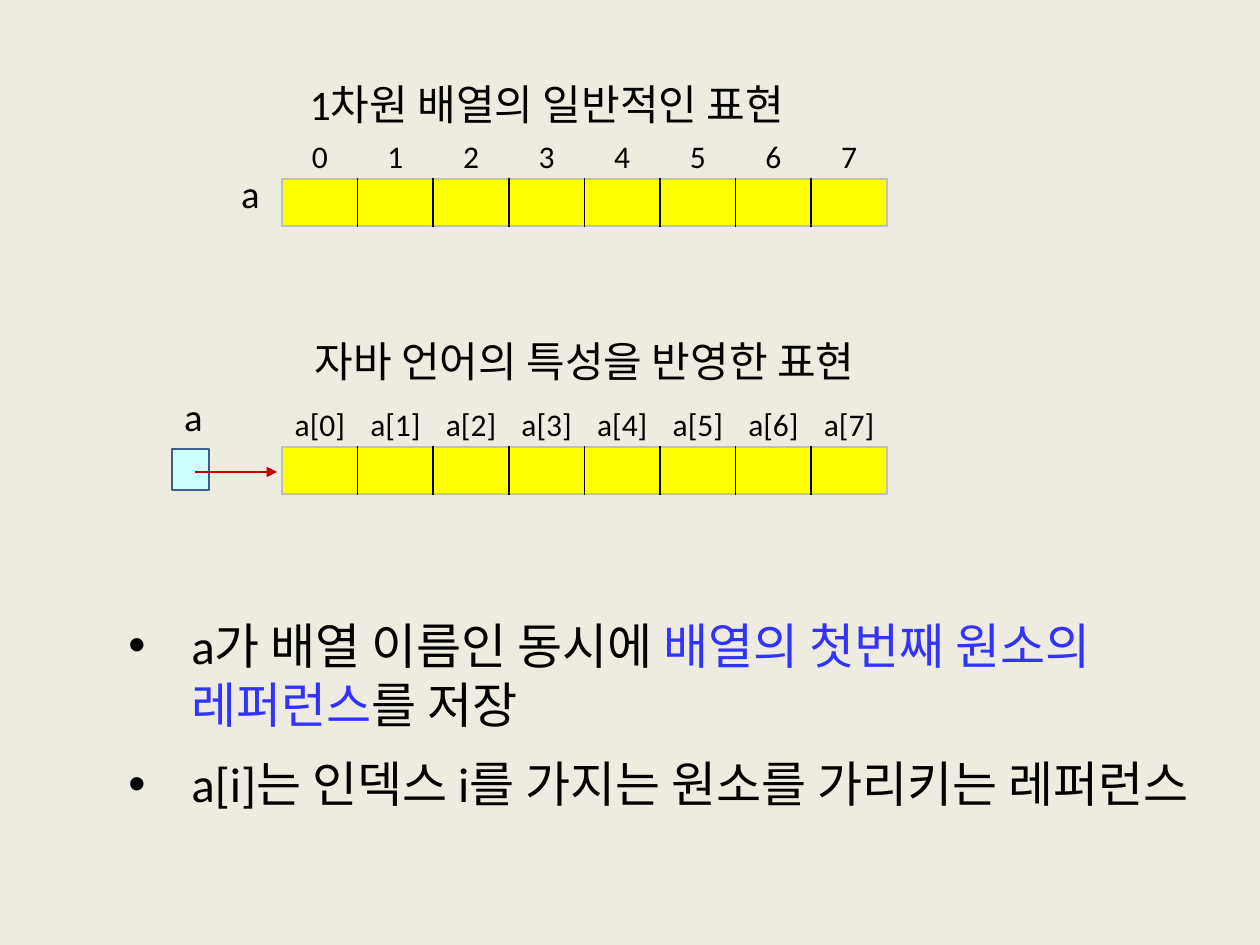
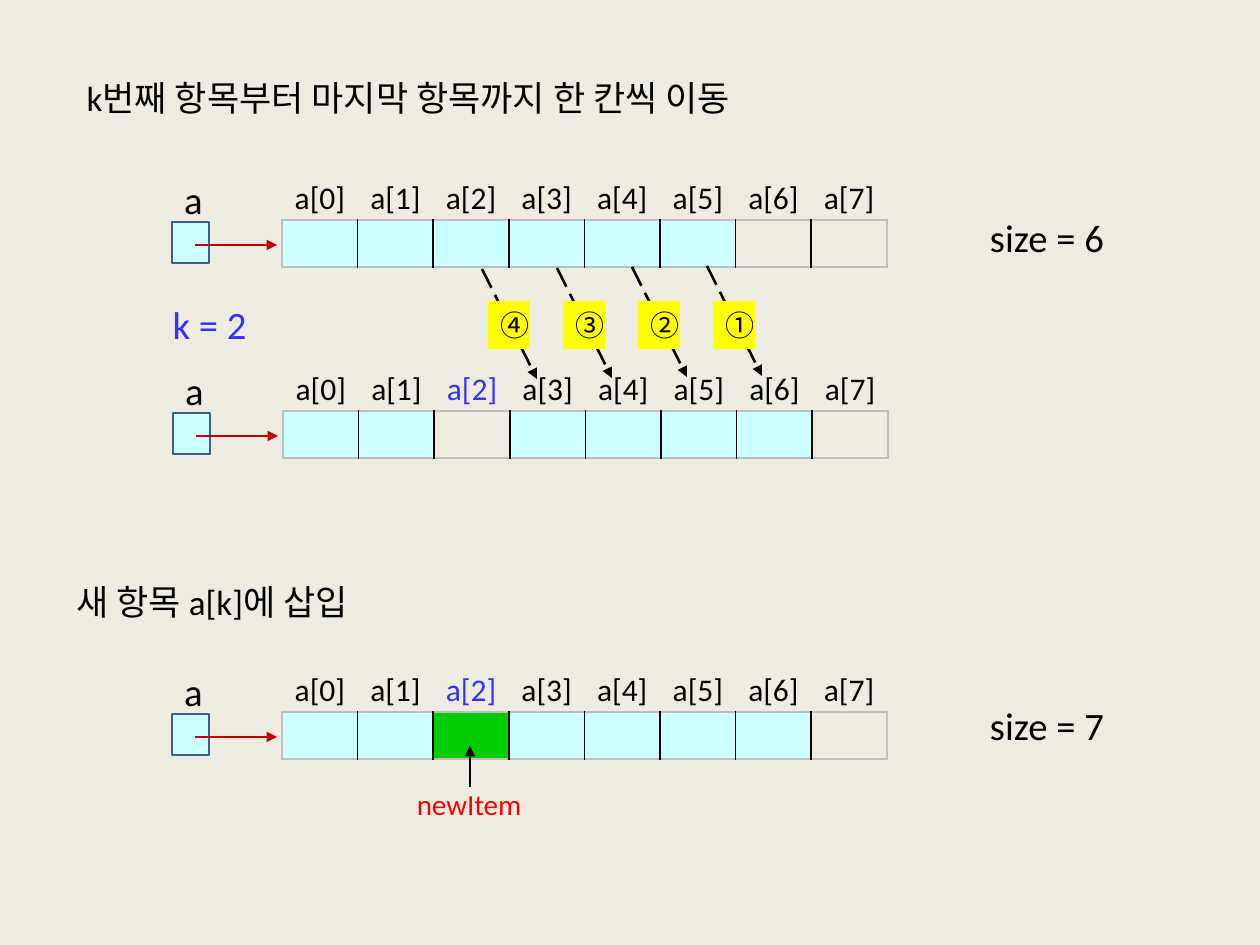
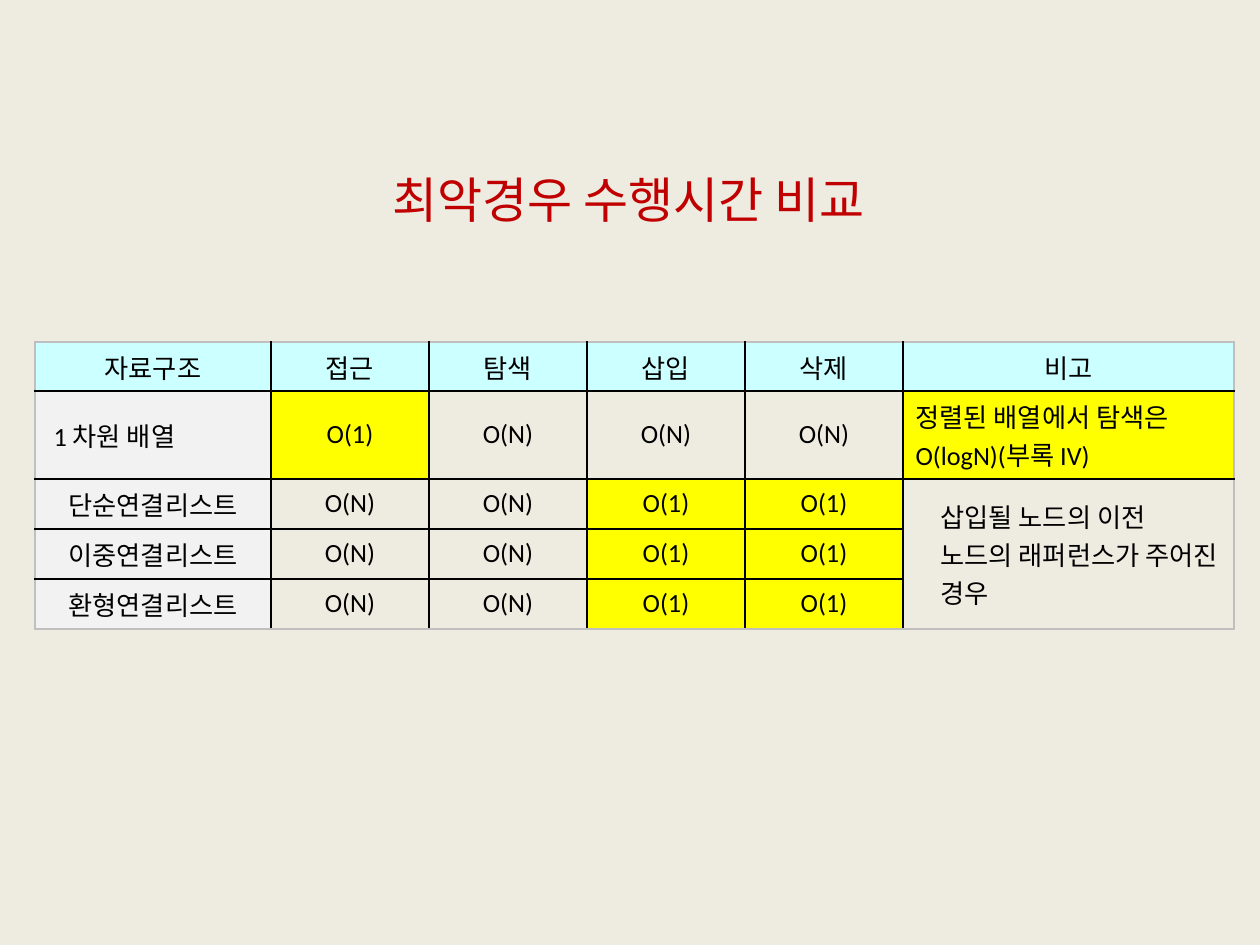
from dataclasses import dataclass

from lxml import etree
from pptx import Presentation
from pptx.dml.color import RGBColor
from pptx.enum.dml import MSO_LINE
from pptx.enum.shapes import MSO_CONNECTOR, MSO_SHAPE
from pptx.enum.text import MSO_ANCHOR, MSO_AUTO_SIZE, PP_ALIGN
from pptx.oxml.ns import qn
from pptx.util import Emu, Pt

LEFT, CENTER = PP_ALIGN.LEFT, PP_ALIGN.CENTER
TOP, MIDDLE = MSO_ANCHOR.TOP, MSO_ANCHOR.MIDDLE
FIT = MSO_AUTO_SIZE.SHAPE_TO_FIT_TEXT
RECTANGLE = MSO_SHAPE.RECTANGLE
STRAIGHT = MSO_CONNECTOR.STRAIGHT
LONG_DASH = MSO_LINE.LONG_DASH
PX_PER_INCH = 126
TITLE_ONLY = 5
NO_STYLE = "{2D5ABB26-0587-4C30-8999-92F81FD0307C}"


@dataclass(frozen=True)
class Theme:
    background: str = "EEECE1"
    ink: str = "000000"
    accent: str = "3333FF"
    red: str = "C00000"
    new_item: str = "FF0000"
    outline: str = "3A5F8C"
    frame: str = "BFBFBF"
    yellow: str = "FFFF00"
    cyan: str = "CCFFFF"
    green: str = "00CC00"
    gray: str = "F2F2F2"
    latin: str = "Calibri"
    korean: str = "Noto Sans CJK KR"
    title: float = 28
    heading: float = 24
    step: float = 20
    body: float = 28
    name: float = 22.1
    index: float = 18
    note: float = 16.6
    table: float = 15


THEME = Theme()
CELL_HEIGHT, CELL_COUNT = 47, 8
ARRAY_WIDTH = 605
INDEXED = [f"a[{i}]" for i in range(CELL_COUNT)]


def px(length):
    return Emu(round(length * 914400 / PX_PER_INCH))


def rgb(color):
    return RGBColor.from_string(color)


def add_span(para, text, size, color=THEME.ink, latin=THEME.latin):
    span = para.add_run()
    span.text = text
    span.font.size = Pt(size)
    span.font.name = latin
    span.font.color.rgb = rgb(color)
    east_asian = etree.SubElement(span.font._element, qn("a:ea"))
    east_asian.set("typeface", THEME.korean)


def set_indent(para, margin, first_line=0):
    properties = para._p.get_or_add_pPr()
    properties.set("marL", str(px(margin)))
    properties.set("indent", str(px(first_line)))
    return properties


def prepare_frame(shape, anchor):
    frame = shape.text_frame
    frame.word_wrap = True
    frame.auto_size = FIT
    frame.vertical_anchor = anchor
    return frame


def add_text(page, box, text, size, color=THEME.ink, align=CENTER,
             anchor=MIDDLE, spacing=None):
    shape = page.shapes.add_textbox(*map(px, box))
    para = prepare_frame(shape, anchor).paragraphs[0]
    para.alignment = align
    para.line_spacing = spacing
    add_span(para, text, size, color)


def add_page(deck, box, text, size, color=THEME.ink, align=LEFT, spacing=1.07):
    """Add a slide whose title is moved to the given box."""
    page = deck.slides.add_slide(deck.slide_layouts[TITLE_ONLY])
    title = page.shapes.title
    title.left, title.top, title.width, title.height = map(px, box)
    para = prepare_frame(title, TOP).paragraphs[0]
    para.alignment = align
    para.line_spacing = spacing
    add_span(para, text, size, color)
    return page


def add_arrow(page, start, end, color=THEME.ink, width=1.5, dash=None):
    arrow = page.shapes.add_connector(STRAIGHT, *map(px, start + end))
    arrow.line.color.rgb = rgb(color)
    arrow.line.width = Pt(width)
    if dash:
        arrow.line.dash_style = dash
    tip = etree.SubElement(arrow.line._get_or_add_ln(), qn("a:tailEnd"))
    tip.set("type", "triangle")
    etree.SubElement(arrow._element.spPr, qn("a:effectLst"))


def add_rectangle(page, box, fill, outline=None):
    shape = page.shapes.add_shape(RECTANGLE, *map(px, box))
    shape.shadow.inherit = False
    shape.fill.solid()
    shape.fill.fore_color.rgb = rgb(fill)
    if outline:
        shape.line.color.rgb = rgb(outline)
        shape.line.width = Pt(1.25)
    else:
        shape.line.fill.background()
    return shape


def add_grid(page, left, top, widths, heights):
    """Add a table without any built-in style."""
    box = (left, top, sum(widths), sum(heights))
    frame = page.shapes.add_table(len(heights), len(widths), *map(px, box))
    for style in frame._element.iter(qn("a:tableStyleId")):
        style.text = NO_STYLE
    table = frame.table
    table.first_row = table.horz_banding = False
    for column, width in zip(table.columns, widths):
        column.width = px(width)
    for row, height in zip(table.rows, heights):
        row.height = px(height)
    return table


def add_borders(table):
    """Rule the cells in ink inside a pale frame; call before filling."""
    row_count, column_count = len(table.rows), len(table.columns)
    for r in range(row_count):
        for c in range(column_count):
            cell = table.cell(r, c)
            height = cell.span_height if cell.is_merge_origin else 1
            on_frame = {
                "a:lnL": c == 0,
                "a:lnR": c == column_count - 1,
                "a:lnT": r == 0,
                "a:lnB": r + height == row_count,
            }
            properties = cell._tc.get_or_add_tcPr()
            for side, outer in on_frame.items():
                line = etree.SubElement(properties, qn(side), w=str(Pt(1)))
                solid = etree.SubElement(line, qn("a:solidFill"))
                color = THEME.frame if outer else THEME.ink
                etree.SubElement(solid, qn("a:srgbClr"), val=color)


def fill_cell(cell, fill=None):
    cell.vertical_anchor = MIDDLE
    if fill:
        cell.fill.solid()
        cell.fill.fore_color.rgb = rgb(fill)
    else:
        cell.fill.background()


def add_array(page, left, top, fills, labels=INDEXED, marked=None):
    """Draw array cells at (left, top), with their index labels above."""
    widths = [ARRAY_WIDTH / CELL_COUNT] * CELL_COUNT
    cells = add_grid(page, left, top, widths, [CELL_HEIGHT])
    add_borders(cells)
    for cell, fill in zip(cells.iter_cells(), fills):
        cell.margin_top = cell.margin_bottom = 0
        fill_cell(cell, fill)
    header = add_grid(page, left, top - 47, widths, [50])
    for i, (cell, label) in enumerate(zip(header.iter_cells(), labels)):
        fill_cell(cell)
        para = cell.text_frame.paragraphs[0]
        para.alignment = CENTER
        color = THEME.accent if i == marked else THEME.ink
        add_span(para, label, THEME.index, color)


def add_name(page, left, top):
    add_text(page, (left, top, 59, 59), "a", THEME.name)


def add_referenced_array(page, left, top, fills, marked=None, name_rise=50):
    """Draw an array together with the variable that points to it."""
    add_array(page, left, top, fills, marked=marked)
    add_rectangle(page, (left - 110, top + 2, 37, 41), THEME.cyan, THEME.outline)
    add_arrow(page, (left - 87, top + 25), (left - 5, top + 25), THEME.red)
    add_name(page, left - 118, top - name_rise)


def add_bullets(page, box, items):
    frame = prepare_frame(page.shapes.add_textbox(*map(px, box)), TOP)
    for i, spans in enumerate(items):
        para = frame.add_paragraph() if i else frame.paragraphs[0]
        para.space_after = Pt(12 if i < len(items) - 1 else 0)
        properties = set_indent(para, 63, -63)
        etree.SubElement(properties, qn("a:buFont"), typeface="Arial")
        etree.SubElement(properties, qn("a:buChar"), char="•")
        for text, color in spans:
            add_span(para, text, THEME.body, color)


def add_shift_steps(page, left, top, marks):
    """Draw the moves from right to left, each with its numbered badge."""
    for i in range(len(marks)):
        start = (left - 75 * i, top + i)
        add_arrow(page, start, (start[0] + 55, start[1] + 110), dash=LONG_DASH)
    for i, mark in enumerate(marks):
        box = (left + 6 - 75 * i, top + 35, 42, 48)
        badge = add_rectangle(page, box, THEME.yellow)
        para = prepare_frame(badge, MIDDLE).paragraphs[0]
        para.alignment = CENTER
        add_span(para, mark, THEME.note, latin=THEME.korean)


def add_comparison(page, left, top):
    widths = [236, 158, 158, 158, 158, 331]
    heights = [49, 88, 50, 50, 50]
    rows = [
        ["자료구조", "접근", "탐색", "삽입", "삭제", "비고"],
        ["1 차원 배열", "O(1)", "O(N)", "O(N)", "O(N)",
         "정렬된 배열에서 탐색은 O(logN)(부록 IV)"],
    ]
    for name in ("단순연결리스트", "이중연결리스트", "환형연결리스트"):
        rows.append([name, "O(N)", "O(N)", "O(1)", "O(1)", ""])
    rows[2][5] = "삽입될 노드의 이전 노드의 래퍼런스가 주어진 경우"
    indents = {(1, 0): 6, (1, 5): 0, (2, 5): 25}

    table = add_grid(page, left, top, widths, heights)
    table.cell(2, 5).merge(table.cell(4, 5))
    add_borders(table)
    for r, row in enumerate(rows):
        for c, text in enumerate(row):
            if r == 0:
                fill = THEME.cyan
            elif c == 0:
                fill = THEME.gray
            else:
                fill = THEME.yellow if text == "O(1)" or (r, c) == (1, 5) else None
            cell = table.cell(r, c)
            fill_cell(cell, fill)
            if not text:
                continue
            para = cell.text_frame.paragraphs[0]
            if (r, c) in indents:
                para.alignment = LEFT
                set_indent(para, indents[r, c])
            else:
                para.alignment = CENTER
            add_span(para, text, THEME.table)


def build_representation(deck):
    page = add_page(deck, (297, 69, 610, 64), "1차원 배열의 일반적인 표현",
                    THEME.heading)
    yellow = [THEME.yellow] * CELL_COUNT
    add_array(page, 282, 179, yellow, [str(i) for i in range(CELL_COUNT)])
    add_name(page, 221, 164)
    add_text(page, (241, 326, 687, 68), "자바 언어의 특성을 반영한 표현",
             THEME.heading, anchor=TOP, spacing=1.07)
    add_referenced_array(page, 282, 447, yellow, name_rise=60)
    add_bullets(page, (116, 609, 1089, 271), [
        [("a가 배열 이름인 동시에 ", THEME.ink),
         ("배열의 첫번째 원소의 레퍼런스", THEME.accent),
         ("를 저장", THEME.ink)],
        [("a[i]는 인덱스 i를 가지는 원소를 가리키는 레퍼런스", THEME.ink)],
    ])


def build_insertion(deck):
    page = add_page(deck, (74, 67, 791, 58),
                    "k번째 항목부터 마지막 항목까지 한 칸씩 이동", THEME.step)
    cyan = THEME.cyan
    add_referenced_array(page, 282, 220, [cyan] * 6 + [None] * 2)
    shifted = [cyan] * 2 + [None] + [cyan] * 4 + [None]
    add_referenced_array(page, 283, 411, shifted, marked=2)
    add_text(page, (151, 294, 117, 59), "k = 2", THEME.name, THEME.accent)
    add_shift_steps(page, 707, 266, "①②③④")

    add_text(page, (64, 571, 490, 58), "새 항목 a[k]에 삽입", THEME.step,
             align=LEFT, anchor=TOP, spacing=1.07)
    inserted = [cyan] * 2 + [THEME.green] + [cyan] * 4 + [None]
    add_referenced_array(page, 282, 712, inserted, marked=2)
    add_arrow(page, (470, 787), (470, 746), width=0.75)
    add_text(page, (403, 780, 132, 48), "newItem", THEME.note, THEME.new_item)
    for size, top in ((6, 208), (7, 696)):
        add_text(page, (960, top, 174, 59), f"size = {size}", THEME.name)


def build_comparison(deck):
    page = add_page(deck, (324, 163, 609, 72), "최악경우 수행시간 비교",
                    THEME.title, THEME.red, CENTER, spacing=1)
    add_comparison(page, 35, 342)


def main():
    deck = Presentation()
    deck.slide_width, deck.slide_height = px(1260), px(945)
    background = deck.slide_master.background.fill
    background.solid()
    background.fore_color.rgb = rgb(THEME.background)
    build_representation(deck)
    build_insertion(deck)
    build_comparison(deck)
    deck.save("out.pptx")


if __name__ == "__main__":
    main()
